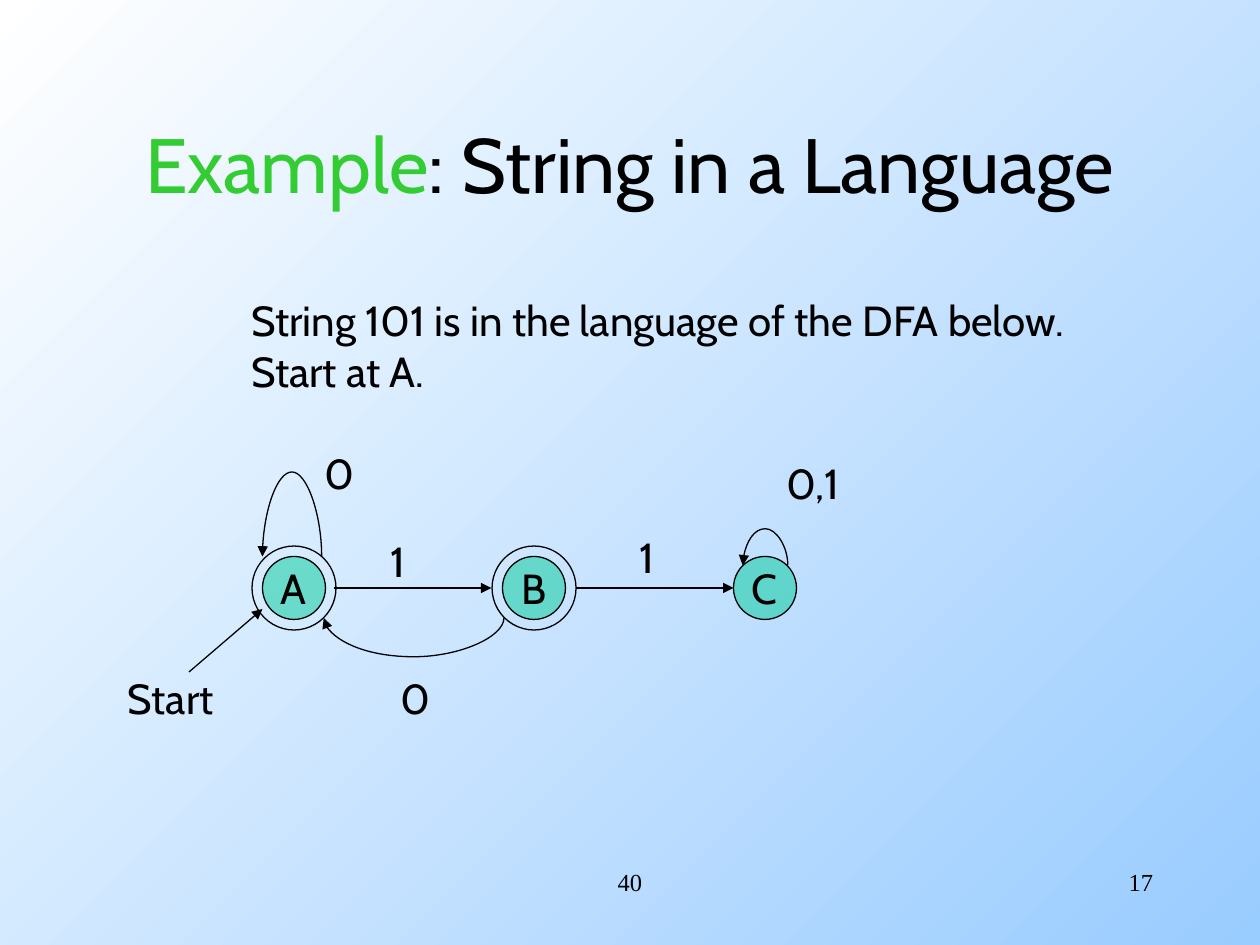
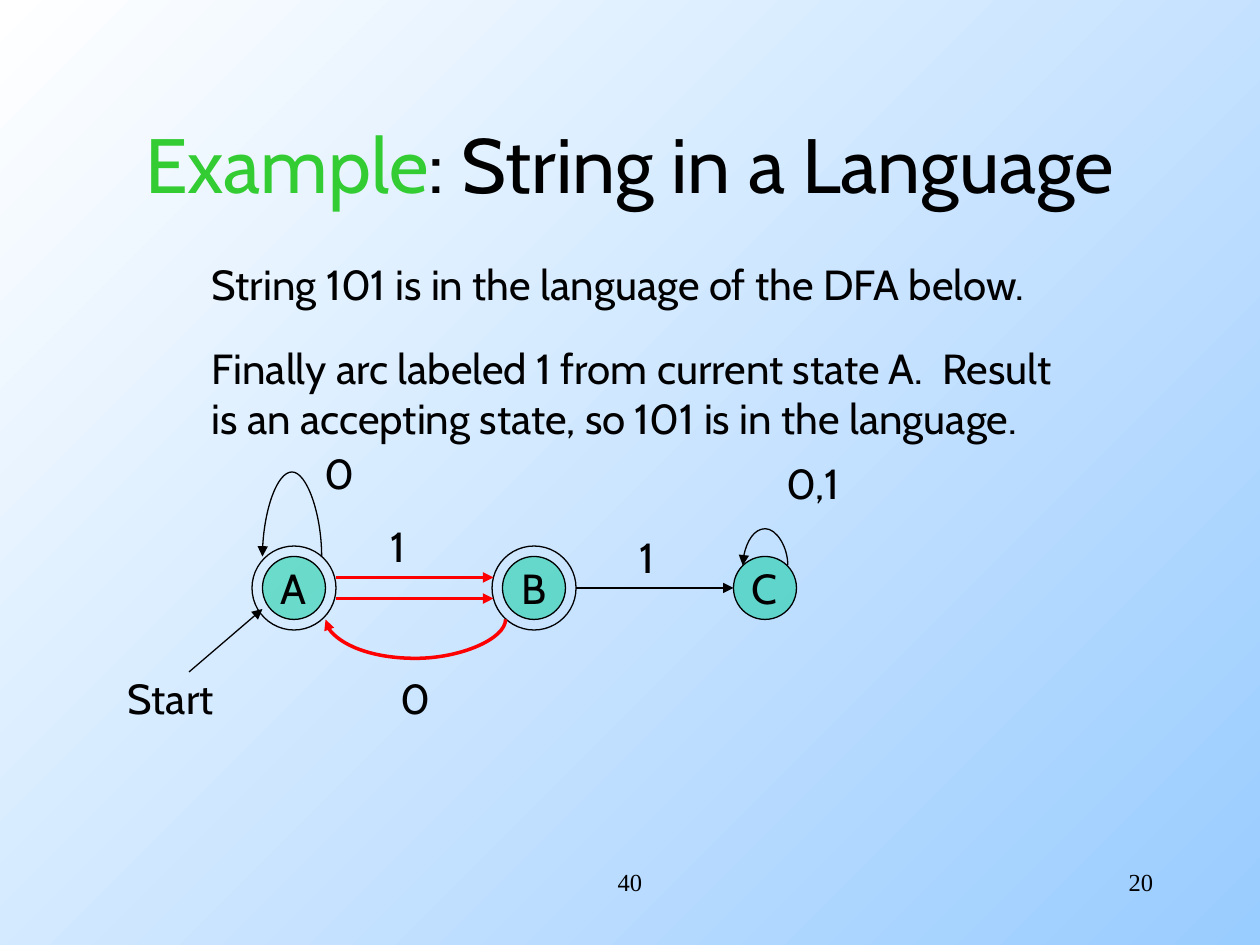
from lxml.etree import SubElement
from pptx import Presentation
from pptx.dml.color import RGBColor
from pptx.enum.shapes import MSO_CONNECTOR, MSO_SHAPE
from pptx.enum.text import MSO_ANCHOR, MSO_AUTO_SIZE, PP_ALIGN
from pptx.oxml.ns import qn
from pptx.util import Emu, Inches, Pt

COLORS = {
    "ink": "000000",
    "example": "33CC33",
    "state": "00CC99",
    "taken": "FF0000",
    "sky_start": "FFFFFF",
    "sky_end": "99CCFF",
}
BODY_FONT = "Cabin"
FOOTER_FONT = "Times New Roman"
COLUMNS, ROWS = 120, 90
SLIDE_WIDTH, SLIDE_HEIGHT = Inches(10), Inches(7.5)

TITLE_AREA = (9, 8, 102, 15)
TITLE_RUNS = [("Example", "example"), (": String in a Language", "ink")]
TOTAL = "40"
TOTAL_AREA = (41, 82, 38, 6)
NUMBER_AREA = (86, 82, 25, 6)

STATE_ROW = 56
STATE_SIZE, RING_SIZE = 6, 8
STATES = {"A": 28, "B": 50.86, "C": 72.86}
ACCEPTING = ["A", "B"]
LABELS = [
    ("Start", (11, 63.5, 10.8, 6)),
    ("0", (37, 63.5, 4.5, 6)),
    ("1", (59.75, 50, 4.5, 6)),
    ("0", (29.75, 42, 4.5, 6)),
    ("0,1", (73.75, 43, 8, 6)),
]
LOOPS = [(30.64, 25, 53, -8.87), (75.04, 70.75, 53.85, -3.84)]
ARROWS = [((18, 64), (25, 58)), ((54.86, STATE_ROW), (69.86, STATE_ROW))]

STATEMENT = "String 101 is in the language of the DFA below."
SLIDES = [
    {
        "number": "17",
        "texts": [([STATEMENT, "Start at A."], (22.75, 27.5, 86, 10.8))],
        "label_row": 50.4,
        "forward_rows": [STATE_ROW],
        "forward_ends": (31.8, 46.8),
        "return_arc": (48, 30.83, 58.85, 4.1),
        "line": ("ink", 0.75),
    },
    {
        "number": "20",
        "texts": [
            (
                [
                    "Finally arc labeled 1 from current state A.  Result",
                    "is an accepting state, so 101 is in the language.",
                ],
                (19, 32, 89, 10.8),
            ),
            ([STATEMENT], (19, 24, 86, 6)),
        ],
        "label_row": 49,
        "forward_rows": [STATE_ROW - 1, STATE_ROW + 1],
        "forward_ends": (32, 47),
        "return_arc": (48.15, 31, 59, 4.1),
        "line": ("taken", 2),
    },
]
THIN = ("ink", 0.75)
ARC_BASE = 1588


def color(name):
    return RGBColor.from_string(COLORS[name])


def across(column):
    return Emu(round(column * SLIDE_WIDTH / COLUMNS))


def down(row):
    return Emu(round(row * SLIDE_HEIGHT / ROWS))


def place(area):
    left, top, width, height = area
    return across(left), down(top), across(width), down(height)


def add_run(paragraph, text, size=24, font=BODY_FONT, color_name="ink"):
    run = paragraph.add_run()
    run.text = text
    run.font.name = font
    run.font.size = Pt(size)
    run.font.color.rgb = color(color_name)


def add_text(slide, lines, area):
    frame = slide.shapes.add_textbox(*place(area)).text_frame
    frame.word_wrap = False
    frame.auto_size = MSO_AUTO_SIZE.SHAPE_TO_FIT_TEXT
    for index, line in enumerate(lines):
        paragraph = frame.add_paragraph() if index else frame.paragraphs[0]
        add_run(paragraph, line)


def add_footer(slide, text, area, alignment):
    frame = slide.shapes.add_textbox(*place(area)).text_frame
    frame.word_wrap = True
    paragraph = frame.paragraphs[0]
    paragraph.alignment = alignment
    add_run(paragraph, text, 14, FOOTER_FONT)


def add_title(slide):
    title = slide.shapes.title
    title.left, title.top, title.width, title.height = place(TITLE_AREA)
    frame = title.text_frame
    frame.vertical_anchor = MSO_ANCHOR.MIDDLE
    paragraph = frame.paragraphs[0]
    paragraph.alignment = PP_ALIGN.CENTER
    for text, color_name in TITLE_RUNS:
        add_run(paragraph, text, 44, BODY_FONT, color_name)


def style_arrow(connector, line):
    color_name, width = line
    connector.line.color.rgb = color(color_name)
    connector.line.width = Pt(width)
    SubElement(connector.line._ln, qn("a:tailEnd"), type="triangle")
    SubElement(connector._element.spPr, qn("a:effectLst"))


def add_arrow(slide, start, end, line=THIN):
    connector = slide.shapes.add_connector(
        MSO_CONNECTOR.STRAIGHT,
        across(start[0]), down(start[1]), across(end[0]), down(end[1]),
    )
    style_arrow(connector, line)


def add_arc(slide, start, end, row, depth, line=THIN):
    span = across(start - end)
    left = across((start + end) / 2) - ARC_BASE // 2
    top = down(row) - span // 2
    connector = slide.shapes.add_connector(
        MSO_CONNECTOR.CURVE, left, top, left + ARC_BASE, top + span
    )
    properties = connector._element.spPr
    transform = properties.find(qn("a:xfrm"))
    if depth < 0:
        transform.set("rot", str(270 * 60000))
        transform.set("flipH", "1")
        transform.set("flipV", "1")
    else:
        transform.set("rot", str(90 * 60000))
    geometry = properties.find(qn("a:prstGeom"))
    adjustment = round(down(depth) / ARC_BASE * 100000)
    SubElement(
        geometry.find(qn("a:avLst")), qn("a:gd"),
        name="adj1", fmla=f"val {adjustment}",
    )
    style_arrow(connector, line)


def add_circle(slide, center, size):
    area = (center - size / 2, STATE_ROW - size / 2, size, size)
    circle = slide.shapes.add_shape(MSO_SHAPE.OVAL, *place(area))
    circle.shadow.inherit = False
    circle.line.color.rgb = color("ink")
    circle.line.width = Pt(0.75)
    return circle


def add_state(slide, name, center):
    circle = add_circle(slide, center, STATE_SIZE)
    circle.fill.solid()
    circle.fill.fore_color.rgb = color("state")
    tint = circle._element.spPr.find(f"{qn('a:solidFill')}/{qn('a:srgbClr')}")
    SubElement(tint, qn("a:alpha"), val="50000")
    frame = circle.text_frame
    frame.word_wrap = False
    frame.vertical_anchor = MSO_ANCHOR.MIDDLE
    paragraph = frame.paragraphs[0]
    paragraph.alignment = PP_ALIGN.CENTER
    add_run(paragraph, name)


def add_automaton(slide, content):
    for text, area in LABELS + [("1", (36, content["label_row"], 4.5, 6))]:
        add_text(slide, [text], area)
    for loop in LOOPS:
        add_arc(slide, *loop)
    for name, center in STATES.items():
        add_state(slide, name, center)
    for name in ACCEPTING:
        add_circle(slide, STATES[name], RING_SIZE).fill.background()
    for start, end in ARROWS:
        add_arrow(slide, start, end)
    start, end = content["forward_ends"]
    for row in content["forward_rows"]:
        add_arrow(slide, (start, row), (end, row), content["line"])
    add_arc(slide, *content["return_arc"], content["line"])


def paint_background(master):
    fill = master.background.fill
    fill.gradient()
    fill.gradient_angle = 315
    for stop, name in zip(fill.gradient_stops, ("sky_start", "sky_end")):
        stop.color.rgb = color(name)


def main():
    presentation = Presentation()
    presentation.slide_width = SLIDE_WIDTH
    presentation.slide_height = SLIDE_HEIGHT
    paint_background(presentation.slide_master)
    title_only = presentation.slide_layouts.get_by_name("Title Only")
    for content in SLIDES:
        slide = presentation.slides.add_slide(title_only)
        add_title(slide)
        add_automaton(slide, content)
        for lines, area in content["texts"]:
            add_text(slide, lines, area)
        add_footer(slide, content["number"], NUMBER_AREA, PP_ALIGN.RIGHT)
        add_footer(slide, TOTAL, TOTAL_AREA, PP_ALIGN.CENTER)
    presentation.save("out.pptx")


if __name__ == "__main__":
    main()
